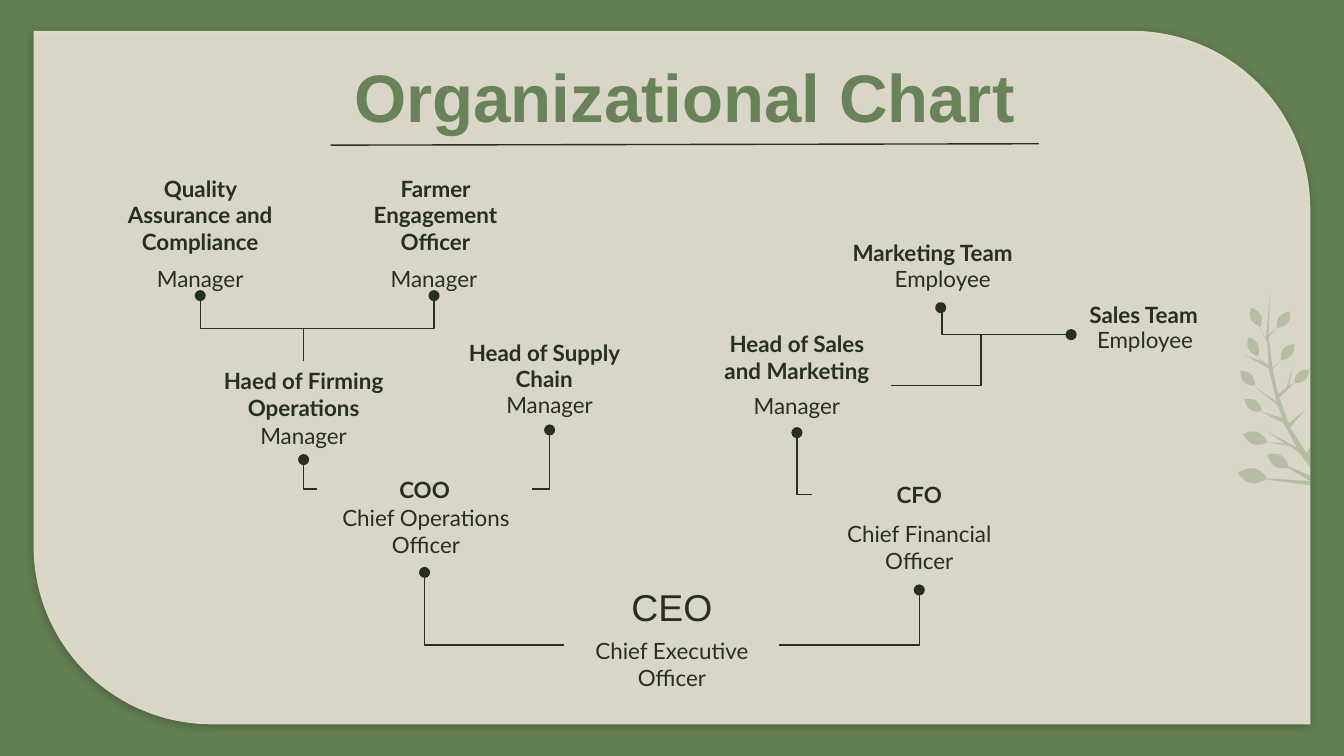
from lxml.etree import SubElement
from pptx import Presentation
from pptx.dml.color import RGBColor
from pptx.enum.shapes import MSO_CONNECTOR, MSO_SHAPE
from pptx.enum.text import MSO_ANCHOR, PP_ALIGN
from pptx.oxml import parse_xml
from pptx.oxml.ns import nsdecls, qn
from pptx.util import Inches, Pt

COLORS = {"green": "637E51", "cream": "FAF1E6", "title": "698358", "ink": "272E22"}


def paint(shape, color, alpha):
    """Fill a shape with a see-through colour and no outline."""
    shape.shadow.inherit = False
    shape.line.fill.background()
    shape.fill.solid()
    shape.fill.fore_color.rgb = RGBColor.from_string(COLORS[color])
    tone = shape._element.spPr.find(".//" + qn("a:srgbClr"))
    SubElement(tone, qn("a:alpha")).set("val", str(alpha * 1000))


def label(words, left, top, width, height=0.4, size=12, font="Lato",
          color="ink", bold=False, low=False):
    """Add centred text; low text sits on the bottom of its box."""
    box = slide.shapes.add_textbox(Inches(left), Inches(top), Inches(width), Inches(height))
    frame = box.text_frame
    frame.word_wrap = True
    frame.margin_left = frame.margin_right = Inches(0.1)
    frame.margin_top = frame.margin_bottom = Inches(0.1)
    frame.vertical_anchor = MSO_ANCHOR.BOTTOM if low else MSO_ANCHOR.TOP
    frame.text = words
    para = frame.paragraphs[0]
    para.alignment = PP_ALIGN.CENTER
    face = para.runs[0].font
    face.name, face.size, face.bold = font, Pt(size), bold
    face.color.rgb = RGBColor.from_string(COLORS[color])


deck = Presentation()
deck.slide_width, deck.slide_height = Inches(10), Inches(10) * 9 // 16
slide = deck.slides.add_slide(deck.slide_layouts[6])
slide.background.fill.solid()
slide.background.fill.fore_color.rgb = RGBColor.from_string(COLORS["green"])

# Panel with two round corners and a soft shadow
panel = slide.shapes.add_shape(MSO_SHAPE.ROUND_2_DIAG_RECTANGLE,
                               Inches(0.25), Inches(0.23), Inches(9.5), Inches(5.16))
panel.adjustments[0], panel.adjustments[1] = 0, 0.257
paint(panel, "cream", 82)
glow = panel._element.spPr.find(qn("a:effectLst"))
glow.append(parse_xml(
    f'<a:outerShdw {nsdecls("a")} blurRad="{Pt(4.5)}" dist="{Pt(1.5)}" dir="5400000" '
    f'algn="bl" rotWithShape="0"><a:srgbClr val="{COLORS["ink"]}">'
    '<a:alpha val="50000"/></a:srgbClr></a:outerShdw>'))

# Plant: stem and twigs, then one pointed leaf for each base and tip
stem = [(9.45, 2.19), (9.44, 2.49), (9.5, 2.44), (9.44, 2.51), (9.47, 2.74), (9.53, 2.68),
        (9.47, 2.75), (9.51, 2.93), (9.57, 2.89), (9.62, 2.73), (9.59, 2.87), (9.63, 2.85),
        (9.52, 2.96), (9.59, 3.15), (9.71, 3.05), (9.6, 3.18), (9.72, 3.37), (9.75, 3.33),
        (9.75, 3.48), (9.67, 3.37), (9.6, 3.32), (9.42, 3.29), (9.56, 3.3), (9.43, 3.21),
        (9.65, 3.33), (9.55, 3.15), (9.38, 3.06), (9.54, 3.11), (9.51, 3.02), (9.33, 2.87),
        (9.5, 2.99), (9.44, 2.74), (9.26, 2.64), (9.39, 2.69), (9.35, 2.65), (9.44, 2.72),
        (9.43, 2.55), (9.37, 2.43), (9.42, 2.52)]
twigs = [[(9.58, 3.48), (9.59, 3.47), (9.75, 3.54), (9.75, 3.58)],
         [(9.43, 3.57), (9.43, 3.56), (9.75, 3.58), (9.75, 3.61)]]
leaves = [((9.63, 2.85), (9.74, 2.75)), ((9.53, 2.68), (9.63, 2.56)),
          ((9.5, 2.44), (9.6, 2.32)), ((9.38, 2.43), (9.31, 2.29)),
          ((9.36, 2.65), (9.29, 2.51)), ((9.34, 2.87), (9.23, 2.76)),
          ((9.39, 3.06), (9.26, 2.97)), ((9.43, 3.29), (9.25, 3.23)),
          ((9.59, 3.48), (9.43, 3.38)), ((9.43, 3.56), (9.21, 3.52))]
parts = [stem, *twigs]
for (x1, y1), (x2, y2) in leaves:
    dx, dy = x2 - x1, y2 - y1
    steps = [(i / 8, 1) for i in range(9)] + [(i / 8, -1) for i in range(7, 0, -1)]
    parts.append([(x1 + t * dx - side * t * (1 - t) * dy,
                   y1 + t * dy + side * t * (1 - t) * dx) for t, side in steps])
parts = [[(Inches(x), Inches(y)) for x, y in part] for part in parts]
plant = slide.shapes.build_freeform(*parts[0][0])
for i, part in enumerate(parts):
    if i:
        plant.move_to(*part[0])
    plant.add_line_segments(part[1:], close=True)
paint(plant.convert_to_shape(), "green", 29)

# Title and roles
label("Organizational Chart", 0.88, 0.31, 8.43, 0.63, 36, "Arial", "title", True)
label("CEO", 4.2, 4.38, 1.6, size=20, font="Arial", low=True)
heads = [("Head of Sales and Marketing", 5.23, 2.56, 1.4),
         ("Head of Supply Chain", 3.35, 2.62, 1.4),
         ("Haed of Firming Operations", 1.56, 2.81, 1.4, 0.42),
         ("Marketing Team", 6.24, 1.68, 1.4),
         ("Farmer Engagement Officer", 2.54, 1.6, 1.4),
         ("Quality Assurance and Compliance", 0.79, 1.6, 1.4),
         ("Sales Team", 7.81, 2.14, 1.4),
         ("COO", 2.36, 3.44, 1.6),
         ("CFO", 6.04, 3.48, 1.6)]
for head in heads:
    label(*head, bold=True, low=True)
ranks = [("Chief Operations Officer", 2.37, 3.65, 1.6),
         ("Chief Financial Officer", 6.04, 3.77, 1.6),
         ("Chief Executive Officer", 4.2, 4.64, 1.6),
         ("Employee", 6.06, 1.87, 1.91),
         ("Employee", 7.82, 2.33, 1.4),
         ("Manager", 2.53, 1.87, 1.4),
         ("Manager", 0.79, 1.87, 1.4),
         ("Manager", 5.23, 2.82, 1.4),
         ("Manager", 3.39, 2.81, 1.4),
         ("Manager", 1.56, 3.04, 1.4, 0.37)]
for rank in ranks:
    label(*rank)

# Lines: start, end, preset, turn in degrees, place of the bend
links = [((5.8, 4.8), (6.84, 4.39), "bentConnector2", 0, None),
         ((4.2, 4.8), (3.16, 4.26), "bentConnector2", 0, None),
         ((6.04, 3.68), (5.93, 3.22), "bentConnector2", 0, None),
         ((3.96, 3.64), (4.09, 3.2), "bentConnector2", 0, None),
         ((2.36, 3.64), (2.26, 3.42), "bentConnector2", 0, None),
         ((1.63, 2.83), (2.12, 2.06), "bentConnector3", 270, 0.5),
         ((2.99, 2.93), (2.5, 1.96), "bentConnector3", 90, 0.5),
         ((7.97, 2.49), (7, 2.29), "bentConnector3", 0, 0.99),
         ((6.63, 2.87), (7.97, 2.49), "bentConnector3", 0, 0.5),
         ((2.46, 1.08), (7.73, 1.07), "line", 0, None)]
for start, end, preset, turn, bend in links:
    kind = MSO_CONNECTOR.STRAIGHT if preset == "line" else MSO_CONNECTOR.ELBOW
    link = slide.shapes.add_connector(kind, *map(Inches, start + end))
    link.line.width = Pt(0.75)
    link.line.color.rgb = RGBColor.from_string(COLORS["ink"])
    props = link._element.spPr
    SubElement(props, qn("a:effectLst"))
    shape = props.find(qn("a:prstGeom"))
    shape.set("prst", preset)
    if turn:
        props.find(qn("a:xfrm")).set("rot", str(turn * 60000))
    if bend:
        guide = SubElement(shape.find(qn("a:avLst")), qn("a:gd"))
        guide.set("name", "adj1")
        guide.set("fmla", f"val {round(bend * 100000)}")
    if preset != "line":
        SubElement(props.find(qn("a:ln")), qn("a:tailEnd")).set("type", "oval")

deck.save("out.pptx")
